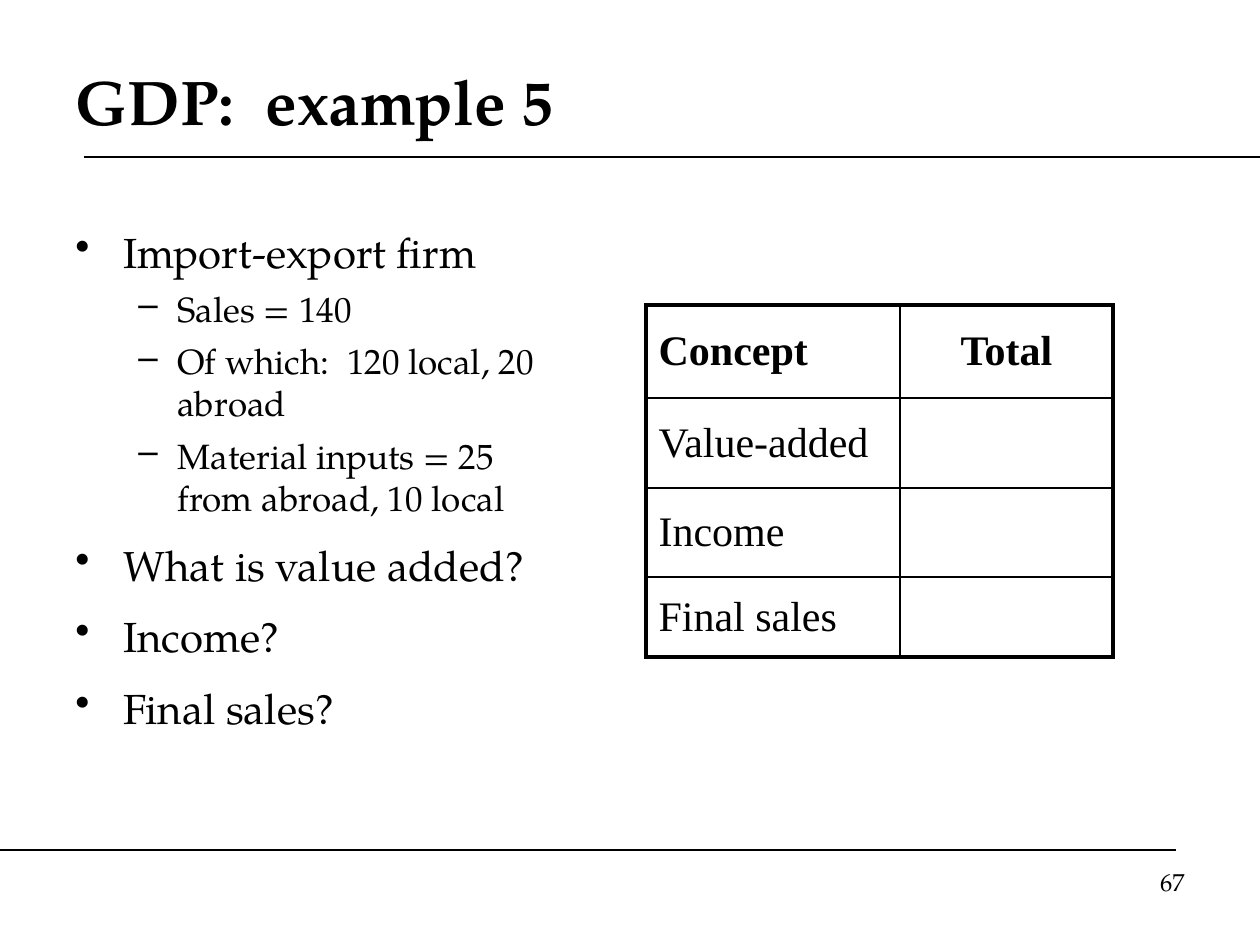
from dataclasses import dataclass

import pptx
import pptx.dml.color
import pptx.enum.shapes
import pptx.enum.text
import pptx.oxml.ns
import pptx.util
from lxml import etree

PX_PER_INCH = 126
ALIGN = pptx.enum.text.PP_ALIGN
ANCHOR = pptx.enum.text.MSO_ANCHOR


@dataclass(frozen=True)
class Theme:
    ink: pptx.dml.color.RGBColor = pptx.dml.color.RGBColor(0, 0, 0)
    text_font: str = "TeX Gyre Pagella"
    table_font: str = "Times New Roman"
    title_size: int = 36
    main_size: int = 24
    detail_size: int = 20
    number_size: int = 14
    rule_width: float = 0.75
    inner_border: float = 1
    outer_border: float = 2.25


@dataclass(frozen=True)
class Box:
    left: int
    top: int
    width: int
    height: int


@dataclass(frozen=True)
class Level:
    bullet: str
    margin: int
    hanging: int
    space_before: int
    size: int


@dataclass(frozen=True)
class Point:
    text: str
    level: int = 0


THEME = Theme()
LEVELS = (
    Level("•", 48, 48, 12, THEME.main_size),
    Level("–", 102, 39, 6, THEME.detail_size),
)
POINTS = (
    Point("Import-export firm"),
    Point("Sales = 140", 1),
    Point("Of which:  120 local, 20 abroad", 1),
    Point("Material inputs = 25 from abroad, 10 local", 1),
    Point("What is value added?"),
    Point("Income?"),
    Point("Final sales?"),
)
CONCEPTS = (
    ("Concept", "Total"),
    ("Value-added", ""),
    ("Income", ""),
    ("Final sales", ""),
)
COLUMN_WIDTHS = (254, 213)
ROW_HEIGHTS = (93, 90, 89, 80)


def px(length: int) -> int:
    return round(length * pptx.util.Inches(1) / PX_PER_INCH)


def child(parent, tag: str, **attributes: str):
    return etree.SubElement(parent, pptx.oxml.ns.qn(tag), attributes)


def write(paragraph, text: str, *, size: int, font: str = THEME.text_font,
          bold: bool = False, align=ALIGN.LEFT) -> None:
    paragraph.alignment = align
    run = paragraph.add_run()
    run.text = text
    run.font.name = font
    run.font.size = pptx.util.Pt(size)
    run.font.bold = bold
    run.font.color.rgb = THEME.ink


def add_frame(slide, box: Box, anchor=ANCHOR.TOP):
    frame = slide.shapes.add_textbox(
        px(box.left), px(box.top), px(box.width), px(box.height)).text_frame
    frame.word_wrap = True
    frame.vertical_anchor = anchor
    return frame


def add_rule(slide, start: int, end: int, y: int) -> None:
    rule = slide.shapes.add_connector(
        pptx.enum.shapes.MSO_CONNECTOR.STRAIGHT, px(start), px(y), px(end), px(y))
    rule.line.color.rgb = THEME.ink
    rule.line.width = pptx.util.Pt(THEME.rule_width)
    child(rule._element.spPr, "a:effectLst")


def add_points(slide, box: Box, points: tuple[Point, ...]) -> None:
    frame = add_frame(slide, box)
    for index, point in enumerate(points):
        level = LEVELS[point.level]
        paragraph = frame.add_paragraph() if index else frame.paragraphs[0]
        paragraph.level = point.level
        properties = paragraph._p.get_or_add_pPr()
        properties.set("marL", str(px(level.margin)))
        properties.set("indent", str(-px(level.hanging)))
        child(properties, "a:buChar", char=level.bullet)
        if index:
            paragraph.space_before = pptx.util.Pt(level.space_before)
        write(paragraph, point.text, size=level.size)


def set_borders(cell, outer_sides: dict[str, bool]) -> None:
    """Draw all four sides, heavier where the side is on the table's edge."""
    properties = cell._tc.get_or_add_tcPr()
    for side, is_outer in outer_sides.items():
        width = THEME.outer_border if is_outer else THEME.inner_border
        line = child(properties, f"a:ln{side}", w=str(pptx.util.Pt(width)))
        child(child(line, "a:solidFill"), "a:srgbClr", val=str(THEME.ink))


def add_concept_table(slide, left: int, top: int) -> None:
    table = slide.shapes.add_table(
        len(ROW_HEIGHTS), len(COLUMN_WIDTHS), px(left), px(top),
        px(sum(COLUMN_WIDTHS)), px(sum(ROW_HEIGHTS))).table
    table.first_row = table.horz_banding = False
    for column, width in zip(table.columns, COLUMN_WIDTHS):
        column.width = px(width)
    last_row, last_column = len(ROW_HEIGHTS) - 1, len(COLUMN_WIDTHS) - 1
    for r, labels in enumerate(CONCEPTS):
        table.rows[r].height = px(ROW_HEIGHTS[r])
        for c, label in enumerate(labels):
            cell = table.cell(r, c)
            set_borders(cell, {"L": c == 0, "R": c == last_column,
                               "T": r == 0, "B": r == last_row})
            cell.fill.background()
            cell.vertical_anchor = ANCHOR.MIDDLE
            if label:
                write(cell.text_frame.paragraphs[0], label, size=THEME.main_size,
                      font=THEME.table_font, bold=r == 0,
                      align=ALIGN.CENTER if c else ALIGN.LEFT)


def main() -> None:
    deck = pptx.Presentation()
    deck.slide_width, deck.slide_height = px(1260), px(945)
    slide = deck.slides.add_slide(deck.slide_layouts[6])

    add_rule(slide, 84, 1260, 157)
    add_rule(slide, 0, 1176, 850)

    title = add_frame(slide, Box(63, 42, 1134, 116), ANCHOR.MIDDLE)
    write(title.paragraphs[0], "GDP:  example 5", size=THEME.title_size, bold=True)
    add_points(slide, Box(63, 220, 514, 624), POINTS)
    page_number = add_frame(slide, Box(903, 861, 294, 66))
    write(page_number.paragraphs[0], "67", size=THEME.number_size, align=ALIGN.RIGHT)

    add_concept_table(slide, 646, 305)
    deck.save("out.pptx")


if __name__ == "__main__":
    main()
